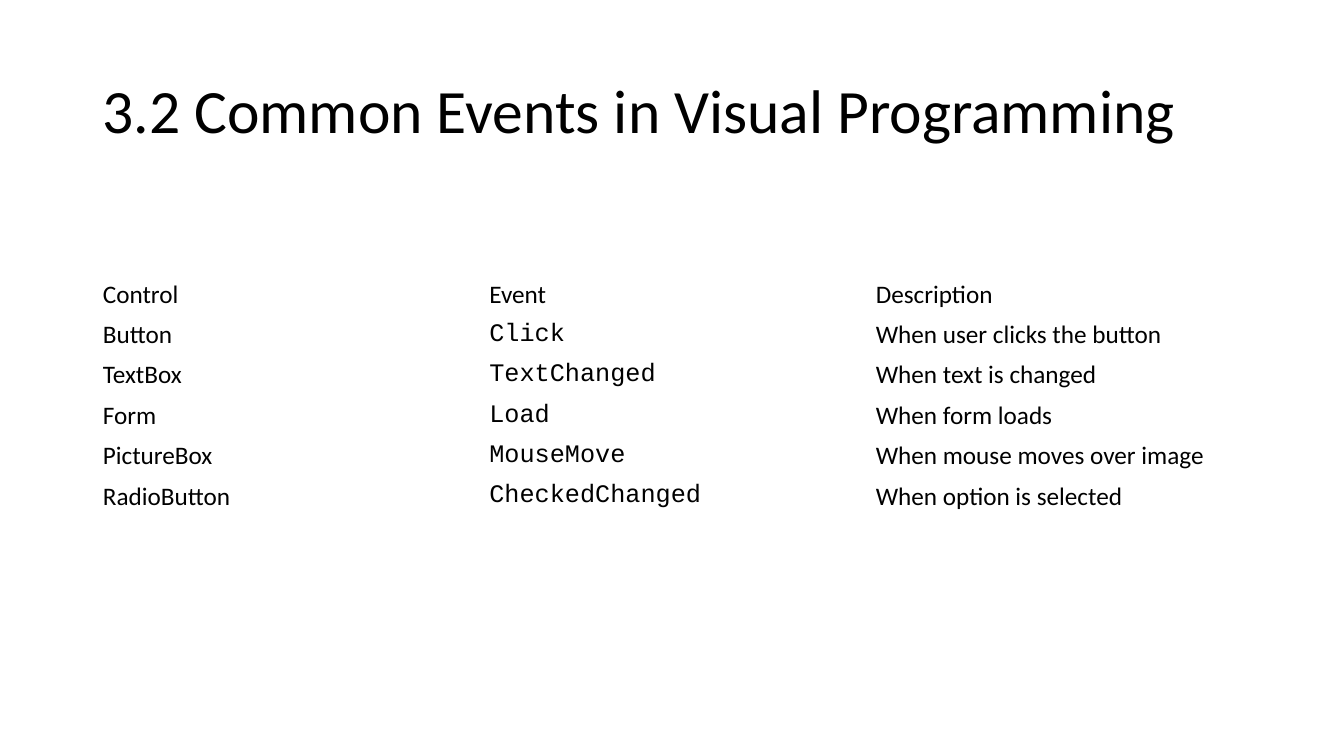
import dataclasses

import pptx
import pptx.dml.color
import pptx.enum.text
import pptx.util

Inches = pptx.util.Inches
COLORS = {"text": "000000", "back": "FFFFFF"}
BODY = "Calibri"
CODE = "Courier New"
LEFT, WIDTH = 0.92, 11.5


@dataclasses.dataclass
class Event:
    control: str
    name: str
    about: str


EVENTS = [
    Event("Button", "Click", "When user clicks the button"),
    Event("TextBox", "TextChanged", "When text is changed"),
    Event("Form", "Load", "When form loads"),
    Event("PictureBox", "MouseMove", "When mouse moves over image"),
    Event("RadioButton", "CheckedChanged", "When option is selected"),
]


def color(name: str) -> pptx.dml.color.RGBColor:
    return pptx.dml.color.RGBColor.from_string(COLORS[name])


def write(frame, text: str, size: int, font: str = BODY) -> None:
    run = frame.paragraphs[0].add_run()
    run.text = text
    run.font.size = pptx.util.Pt(size)
    run.font.name = font
    run.font.bold = False
    run.font.color.rgb = color("text")


def add_title(slide, text: str) -> None:
    box = slide.shapes.add_textbox(
        Inches(LEFT), Inches(0.4), Inches(WIDTH), Inches(1.45))
    frame = box.text_frame
    frame.word_wrap = True
    frame.vertical_anchor = pptx.enum.text.MSO_ANCHOR.MIDDLE
    write(frame, text, 44)
    frame.paragraphs[0].line_spacing = 0.9


def add_events(slide, head: Event, events: list[Event]) -> None:
    rows = [dataclasses.astuple(event) for event in [head, *events]]
    table = slide.shapes.add_table(
        len(rows), len(rows[0]), Inches(LEFT), Inches(2.72),
        Inches(WIDTH), Inches(0.4 * len(rows))).table
    table.first_row = False
    table.horz_banding = False
    for r, row in enumerate(rows):
        for c, text in enumerate(row):
            cell = table.cell(r, c)
            cell.fill.background()
            cell.vertical_anchor = pptx.enum.text.MSO_ANCHOR.MIDDLE
            write(cell.text_frame, text, 18, CODE if r and c == 1 else BODY)


def main() -> None:
    deck = pptx.Presentation()
    deck.slide_width = Inches(13.33)
    deck.slide_height = Inches(7.5)
    slide = deck.slides.add_slide(deck.slide_layouts[6])
    slide.background.fill.solid()
    slide.background.fill.fore_color.rgb = color("back")
    add_title(slide, "3.2 Common Events in Visual Programming")
    add_events(slide, Event("Control", "Event", "Description"), EVENTS)
    deck.save("out.pptx")


if __name__ == "__main__":
    main()
